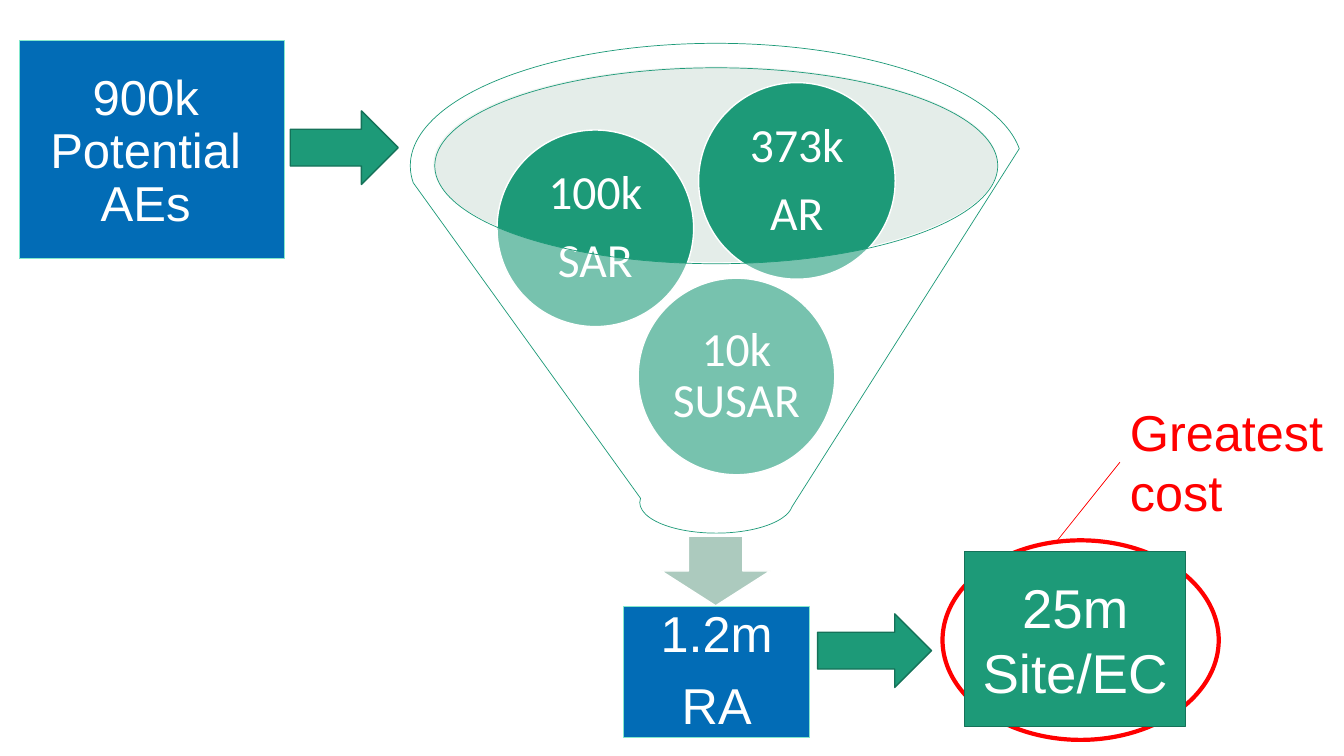
from dataclasses import dataclass

from lxml.etree import SubElement
from pptx import Presentation
from pptx.dml.color import RGBColor
from pptx.enum.shapes import MSO_CONNECTOR, MSO_SHAPE
from pptx.enum.text import MSO_ANCHOR, PP_ALIGN
from pptx.oxml.ns import qn
from pptx.util import Inches, Pt


@dataclass(frozen=True)
class Theme:
    green: str = "1D9A78"
    dark_green: str = "157259"
    pale_green: str = "BDD4CA"
    grey_green: str = "ACCABE"
    mint: str = "83E8CC"
    blue: str = "026CB6"
    red: str = "FF0000"
    white: str = "FFFFFF"
    body_font: str = "Arial"
    ball_font: str = "Calibri"
    ball_size: int = 34
    source_size: int = 35
    label_size: int = 36
    site_size: int = 39


theme = Theme()
presentation = Presentation()
presentation.slide_width = Inches(13.33)
presentation.slide_height = Inches(7.5)
slide = presentation.slides.add_slide(presentation.slide_layouts[6])


def place(left, top, width, height):
    """Turn percentages of the slide's width and height into lengths."""
    column, row = presentation.slide_width / 100, presentation.slide_height / 100
    return [round(left * column), round(top * row), round(width * column), round(height * row)]


def add_figure(kind, box, fill, line=None, line_width=1, opacity=100, lines=(), size=None,
               font=theme.body_font, insets=(0.1, 0.05, 0.1, 0.05), spacing=0.9, gap=0.35):
    """Draw a filled shape with centred white text; gap is a share of the type size."""
    shape = slide.shapes.add_shape(kind, *place(*box))
    shape.shadow.inherit = False
    shape.fill.solid()
    shape.fill.fore_color.rgb = RGBColor.from_string(fill)
    if opacity < 100:
        color = shape.fill._xPr.find(qn("a:solidFill"))[0]
        SubElement(color, qn("a:alpha")).set("val", str(opacity * 1000))
    if line:
        shape.line.color.rgb = RGBColor.from_string(line)
        shape.line.width = Pt(line_width)
    else:
        shape.line.fill.background()
    if not lines:
        return
    frame = shape.text_frame
    frame.word_wrap = True
    frame.vertical_anchor = MSO_ANCHOR.MIDDLE
    frame.margin_left, frame.margin_top, frame.margin_right, frame.margin_bottom = map(Inches, insets)
    frame.text = "\n".join(lines)
    for paragraph in frame.paragraphs:
        paragraph.alignment = PP_ALIGN.CENTER
        paragraph.line_spacing = spacing
        paragraph.space_after = Pt(round(size * gap))
        paragraph.font.name = font
        paragraph.font.size = Pt(size)
        paragraph.font.color.rgb = RGBColor.from_string(theme.white)


# Ring behind the costliest step
add_figure(MSO_SHAPE.OVAL, (70.13, 71.47, 20.55, 26.4), theme.white, theme.red, 3)

# Funnel with its reports and its outcome
add_figure(MSO_SHAPE.OVAL, (32.25, 8.8, 42, 25.87), theme.pale_green, opacity=40)
add_figure(MSO_SHAPE.DOWN_ARROW, (49.2, 70.93, 8.1, 9.2), theme.grey_green, theme.white)
add_figure(MSO_SHAPE.RECTANGLE, (46.43, 80.27, 13.8, 17.33), theme.blue, theme.mint, 0.75,
           lines=["1.2m", "RA"], size=theme.label_size, insets=(0.28,) * 4)
for left, top, lines in [
    (47.48, 36.8, ["10k SUSAR"]),
    (36.98, 17.2, ["100k", "SAR"]),
    (51.98, 10.93, ["373k", "AR"]),
]:
    add_figure(MSO_SHAPE.OVAL, (left, top, 14.63, 26), theme.green, theme.white, lines=lines,
               size=theme.ball_size, font=theme.ball_font, insets=(0.05,) * 4)
add_figure(MSO_SHAPE.FUNNEL, (30.53, 5.73, 45.53, 64.8), theme.white, theme.green, 0.5, opacity=40)

# Steps before and after the funnel
add_figure(MSO_SHAPE.RECTANGLE, (71.78, 72.93, 16.43, 23.2), theme.green, theme.dark_green,
           lines=["25m", "Site/EC"], size=theme.site_size, spacing=1, gap=0)
add_figure(MSO_SHAPE.RECTANGLE, (1.43, 5.33, 19.73, 28.93), theme.blue, theme.mint, 0.75,
           lines=["900k Potential AEs"], size=theme.source_size, insets=(0.21, 0.58, 0.33, 0.52))
for left, top, width in [(21.6, 14.67, 8.03), (60.83, 81.2, 8.48)]:
    add_figure(MSO_SHAPE.RIGHT_ARROW, (left, top, width, 9.73), theme.green, theme.dark_green)

# Callout
callout = slide.shapes.add_textbox(*place(83.33, 52.4, 16.73, 17.47))
callout.text_frame.word_wrap = True
callout.text_frame.text = "Greatest cost"
paragraph = callout.text_frame.paragraphs[0]
paragraph.font.name = theme.body_font
paragraph.font.size = Pt(theme.label_size)
paragraph.font.color.rgb = RGBColor.from_string(theme.red)

ring_left, ring_top = place(78.68, 71.47, 0, 0)[:2]
leader = slide.shapes.add_connector(MSO_CONNECTOR.STRAIGHT, 0, 0, ring_left, ring_top)
leader.begin_connect(callout, 1)
leader.line.color.rgb = RGBColor.from_string(theme.red)
leader.line.width = Pt(0.5)
SubElement(leader._element.spPr, qn("a:effectLst"))

presentation.save("out.pptx")
